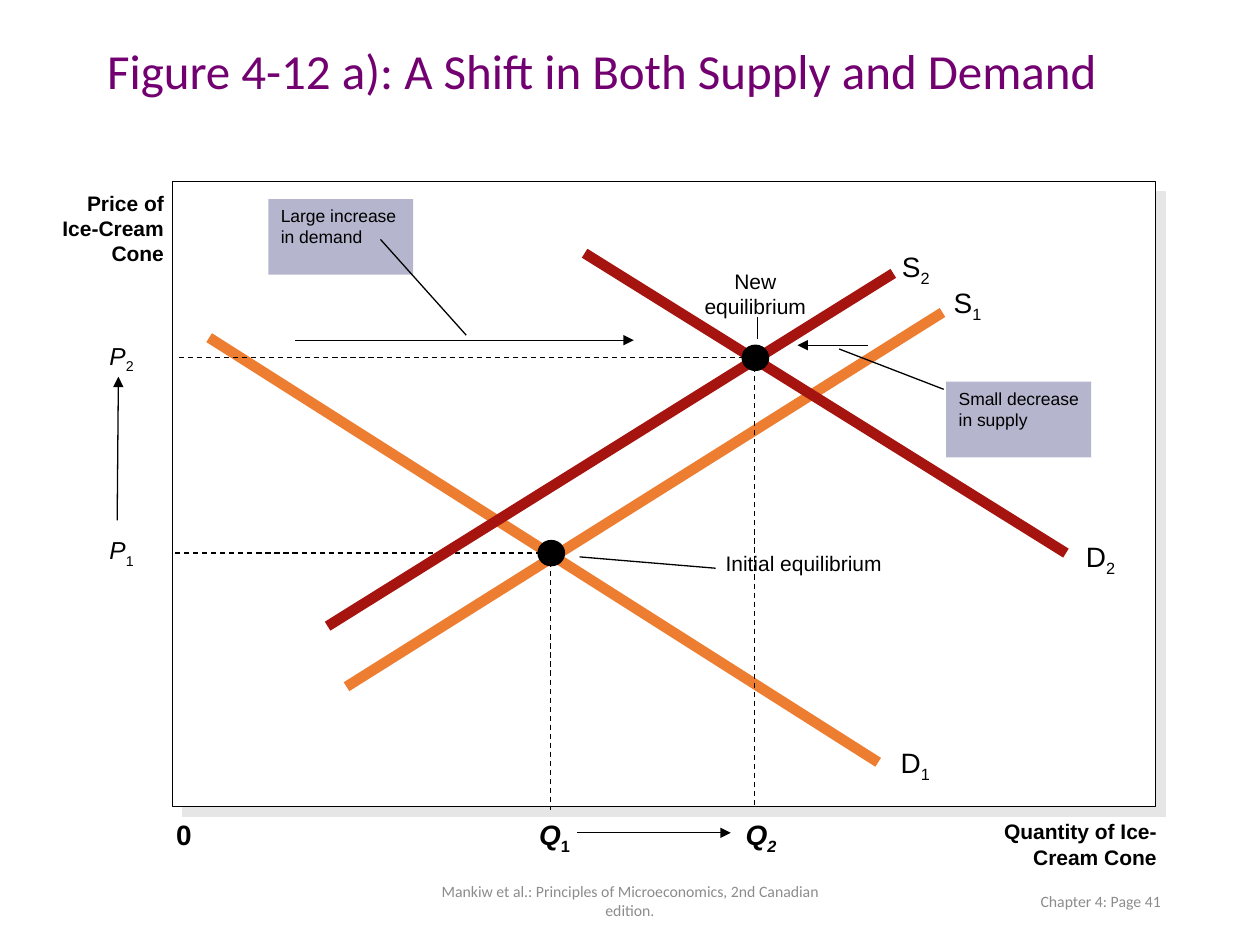
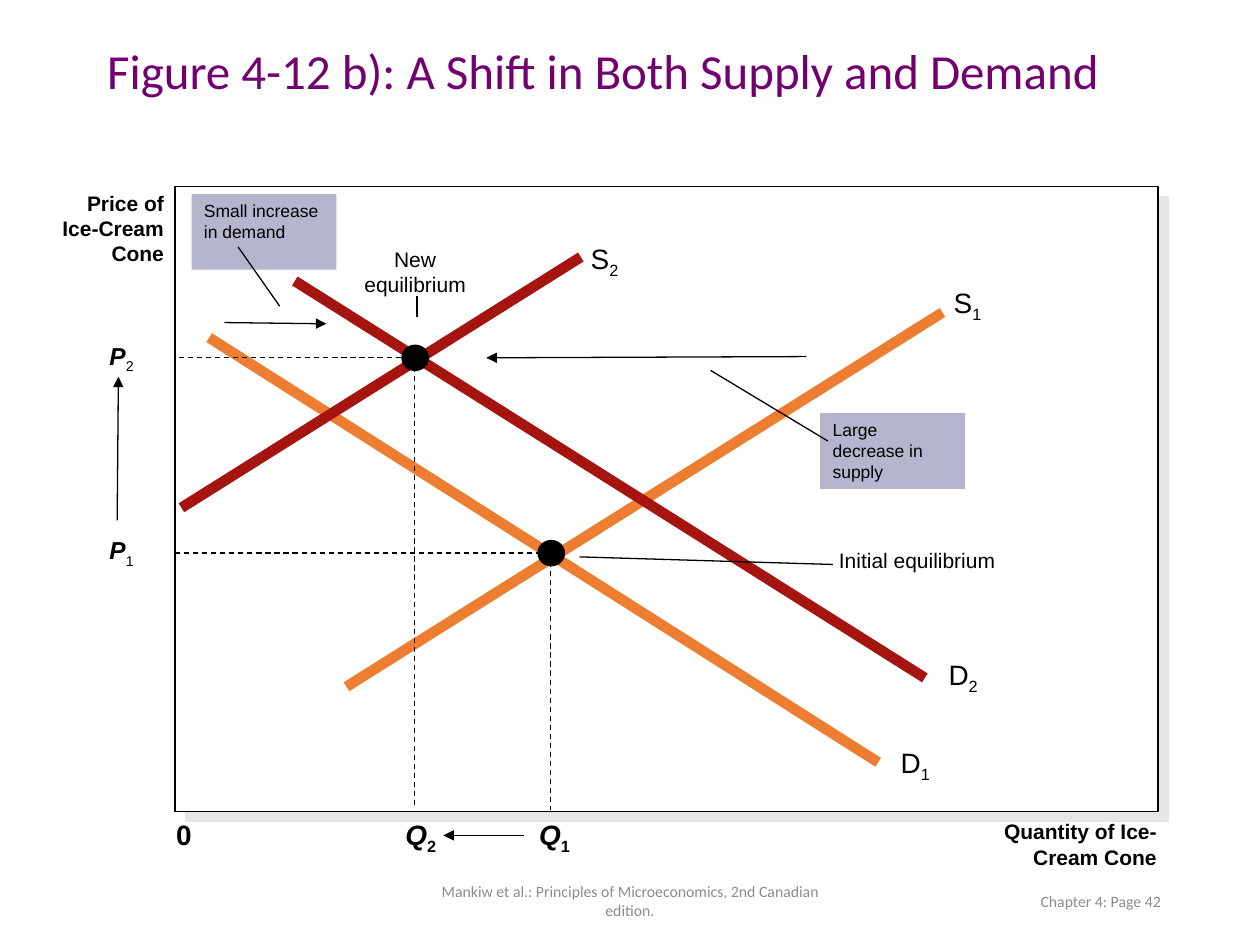
from dataclasses import dataclass

from lxml import etree
from pptx import Presentation
from pptx.dml.color import RGBColor
from pptx.enum.dml import MSO_LINE
from pptx.enum.shapes import MSO_CONNECTOR, MSO_SHAPE
from pptx.enum.text import MSO_ANCHOR, PP_ALIGN
from pptx.oxml.ns import qn
from pptx.util import Inches, Pt

LEFT, MID, RIGHT = PP_ALIGN.LEFT, PP_ALIGN.CENTER, PP_ALIGN.RIGHT
TOP, CENTRE = MSO_ANCHOR.TOP, MSO_ANCHOR.MIDDLE
RECT, OVAL = MSO_SHAPE.RECTANGLE, MSO_SHAPE.OVAL
DASH, STRAIGHT = MSO_LINE.DASH, MSO_CONNECTOR.STRAIGHT

HUES = {
    "title": "720070", "foot": "8C8C8C", "ink": "000000", "paper": "FFFFFF",
    "shade": "E7E6E6", "old": "ED7D31", "new": "A61410", "note": "666699",
}
HEAD, BODY = "Calibri", "Arial"

Point = tuple[float, float]
Box = tuple[float, float, float, float]
Line = tuple[Point, Point]


@dataclass(frozen=True)
class Run:
    """Text with style letters: b bold, i italic, s subscript."""
    text: str
    style: str = ""


@dataclass(frozen=True)
class Note:
    text: str
    spot: Point
    lead: Line
    arrow: Line


@dataclass(frozen=True)
class Panel:
    letter: str
    frame: Point
    demand: Line
    d_tag: Box
    supply: Line
    s_tag: Box
    dot: float
    price: str
    q_sub: str
    q_arrow: Line
    new_top: float
    first: Point
    lead: Line
    notes: tuple[Note, Note]


PANELS = [
    Panel(
        letter="a", frame=(1.37, 1.44),
        demand=((4.64, 2.01), (8.46, 4.39)), d_tag=(8.52, 4.23, 0.58, 0.37),
        supply=((2.6, 4.97), (7.09, 2.17)), s_tag=(7.06, 1.93, 0.48, 0.37),
        dot=5.89, price="i", q_sub="bis", q_arrow=((4.58, 6.61), (5.8, 6.61)),
        new_top=2.08, first=(5.66, 4.32), lead=((5.68, 4.51), (4.6, 4.42)),
        notes=(
            Note("Large increase in demand", (2.13, 1.58),
                 ((3.02, 1.9), (3.7, 2.66)), ((2.34, 2.7), (5.03, 2.7))),
            Note("Small decrease in supply", (7.51, 3.03),
                 ((7.49, 3.09), (6.66, 2.77)), ((6.89, 2.74), (6.33, 2.74))),
        ),
    ),
    Panel(
        letter="b", frame=(1.39, 1.48),
        demand=((2.34, 2.23), (7.34, 5.38)), d_tag=(7.43, 5.17, 0.76, 0.37),
        supply=((1.44, 4.03), (4.61, 2.04)), s_tag=(4.59, 1.87, 0.56, 0.37),
        dot=3.19, price="bi", q_sub="bs", q_arrow=((4.16, 6.63), (3.52, 6.63)),
        new_top=1.91, first=(6.56, 4.3), lead=((6.61, 4.48), (4.6, 4.42)),
        notes=(
            Note("Small increase in demand", (1.52, 1.54),
                 ((2.22, 2.43), (1.89, 1.96)), ((1.78, 2.56), (2.59, 2.57))),
            Note("Large decrease in supply", (6.51, 3.28),
                 ((5.64, 2.94), (6.57, 3.5)), ((6.4, 2.83), (3.86, 2.84))),
        ),
    ),
]


def tint(name: str) -> RGBColor:
    return RGBColor.from_string(HUES[name])


def write(shape, runs: list[Run], size: float, align=LEFT, hue="ink",
          face=BODY, anchor=TOP) -> None:
    frame = shape.text_frame
    frame.word_wrap = True
    frame.vertical_anchor = anchor
    para = frame.paragraphs[0]
    para.alignment = align
    for item in runs:
        run = para.add_run()
        run.text = item.text
        font = run.font
        font.name, font.size = face, Pt(size)
        font.color.rgb = tint(hue)
        font.bold, font.italic = "b" in item.style, "i" in item.style
        if "s" in item.style:
            run._r.get_or_add_rPr().set("baseline", "-25000")


def label(slide, box: Box, runs: list[Run], size: float, align=LEFT, **look) -> None:
    shape = slide.shapes.add_textbox(*map(Inches, box))
    write(shape, runs, size, align, **look)


def block(slide, kind, box: Box, fill: str, edge: str | None = "ink"):
    shape = slide.shapes.add_shape(kind, *map(Inches, box))
    shape.shadow.inherit = False
    shape.fill.solid()
    shape.fill.fore_color.rgb = tint(fill)
    if edge:
        shape.line.color.rgb = tint(edge)
        shape.line.width = Pt(0.75)
    else:
        shape.line.fill.background()
    return shape


def stroke(slide, line: Line, hue="ink", width=0.75, dash=False, arrow=False) -> None:
    (x1, y1), (x2, y2) = line
    link = slide.shapes.add_connector(
        STRAIGHT, Inches(x1), Inches(y1), Inches(x2), Inches(y2))
    link.line.color.rgb = tint(hue)
    link.line.width = Pt(width)
    if dash:
        link.line.dash_style = DASH
    props = link._element.spPr
    if arrow:
        etree.SubElement(props.find(qn("a:ln")), qn("a:tailEnd"), type="triangle")
    etree.SubElement(props, qn("a:effectLst"))


def curve(slide, line: Line, hue: str, tag: Box, name: str, sub: str) -> None:
    stroke(slide, line, hue, 6)
    label(slide, tag, [Run(name), Run(sub, "s")], 16)


def point(slide, left: float, top: float, start: float, foot: float) -> None:
    """Mark an equilibrium with dashed guides to both axes."""
    x, y = left + 0.1, top + 0.1
    stroke(slide, ((start, y), (x, y)), dash=True)
    stroke(slide, ((x, y), (x, foot)), dash=True)
    block(slide, OVAL, (left, top, 0.21, 0.2), "ink")


def plot(slide, spot: Point) -> None:
    area = block(slide, RECT, (*spot, 7.8, 4.96), "paper")
    effects = area._element.spPr.find(qn("a:effectLst"))
    shade = etree.SubElement(effects, qn("a:outerShdw"), dist=str(Pt(8.5)),
                             dir="2700000", algn="ctr", rotWithShape="0")
    etree.SubElement(shade, qn("a:srgbClr"), val=HUES["shade"])


def callout(slide, note: Note) -> None:
    stroke(slide, note.arrow, arrow=True)
    shape = block(slide, RECT, (*note.spot, 1.15, 0.6), "note", None)
    color = shape._element.spPr.find(qn("a:solidFill")).find(qn("a:srgbClr"))
    etree.SubElement(color, qn("a:alpha"), val="48000")
    write(shape, [Run(note.text)], 10)
    stroke(slide, note.lead)


def base(slide, panel: Panel, page: int) -> None:
    """Title, footers, axes and the first equilibrium."""
    title = slide.shapes.title
    title.left, title.top, title.width, title.height = map(
        Inches, (0.75, 0.25, 8.5, 0.67))
    name = f"Figure 4-12 {panel.letter}): A Shift in Both Supply and Demand"
    write(title, [Run(name)], 28, hue="title", face=HEAD, anchor=CENTRE)
    title.text_frame.paragraphs[0].line_spacing = 0.9
    book = "Mankiw et al.: Principles of Microeconomics, 2nd Canadian edition."
    for box, text, align in (
        ((3.31, 6.95, 3.38, 0.4), book, MID),
        ((7.06, 6.95, 2.25, 0.4), f"Chapter 4: Page {page}", RIGHT),
    ):
        label(slide, box, [Run(text)], 9, align, hue="foot", face=HEAD, anchor=CENTRE)

    plot(slide, panel.frame)
    curve(slide, ((1.66, 2.68), (6.97, 6.05)), "old", (7.05, 5.87, 0.61, 0.37), "D", "1")
    curve(slide, ((2.75, 5.45), (7.48, 2.48)), "old", (7.47, 2.22, 0.48, 0.37), "S", "1")
    point(slide, 4.27, 4.29, 1.39, 6.43)
    for box, text, size in (
        ((0.95, 6.44, 0.67, 0.37), "0", 16),
        ((7.68, 6.45, 1.6, 0.5), "Quantity of Ice-Cream Cone", 12),
        ((0.27, 1.46, 1.13, 0.7), "Price of Ice-Cream Cone", 12),
    ):
        label(slide, box, [Run(text, "b")], size, RIGHT)


def shift(slide, panel: Panel) -> None:
    """The moved curves, the second equilibrium and all remarks."""
    curve(slide, panel.demand, "new", panel.d_tag, "D", "2")
    curve(slide, panel.supply, "new", panel.s_tag, "S", "2")
    point(slide, panel.dot, 2.74, 1.42, 6.39)
    for note in panel.notes:
        callout(slide, note)

    for sub, top in (("2", 2.66), ("1", 4.2)):
        label(slide, (0.77, top, 0.51, 0.33), [Run("P", panel.price), Run(sub, "s")], 14)
    stroke(slide, ((0.93, 4.13), (0.94, 2.99)), arrow=True)
    for sub, left, style in (("1", 3.97, "bs"), ("2", panel.dot - 0.28, panel.q_sub)):
        label(slide, (left, 6.44, 0.65, 0.37), [Run("Q", "bi"), Run(sub, style)], 16, RIGHT)
    stroke(slide, panel.q_arrow, arrow=True)

    x, y = panel.dot + 0.12, panel.new_top
    label(slide, (panel.dot - 0.46, y, 1.13, 0.5), [Run("New equilibrium")], 12, MID)
    stroke(slide, ((x, y + 0.44), (x, y + 0.61)))
    label(slide, (*panel.first, 1.98, 0.3), [Run("Initial equilibrium")], 12)
    stroke(slide, panel.lead)


def main() -> None:
    deck = Presentation()
    deck.slide_width, deck.slide_height = Inches(10), Inches(7.5)
    plain = deck.slide_layouts.get_by_name("Title Only")
    for page, panel in enumerate(PANELS, 41):
        slide = deck.slides.add_slide(plain)
        base(slide, panel, page)
        shift(slide, panel)
    deck.save("out.pptx")


if __name__ == "__main__":
    main()
